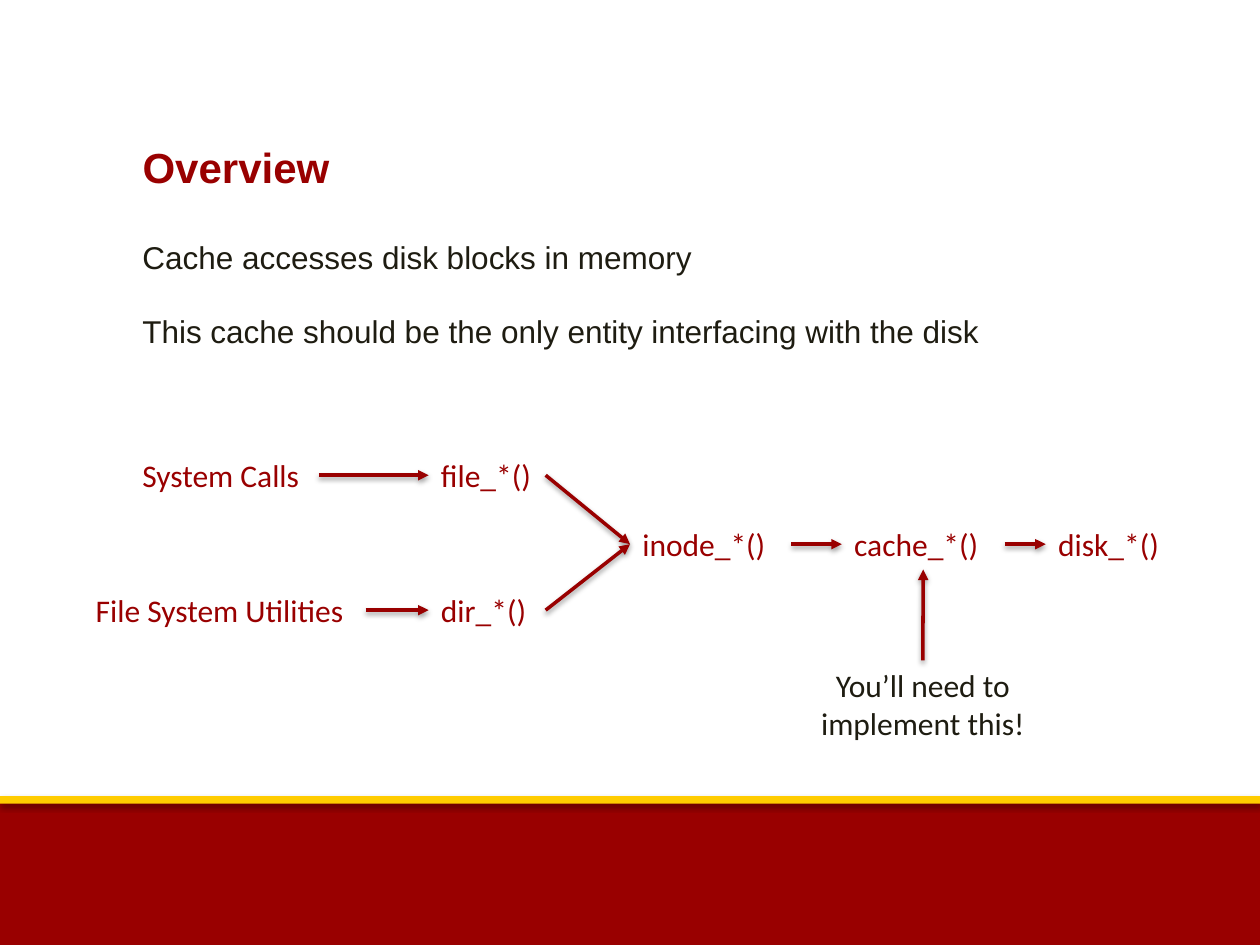
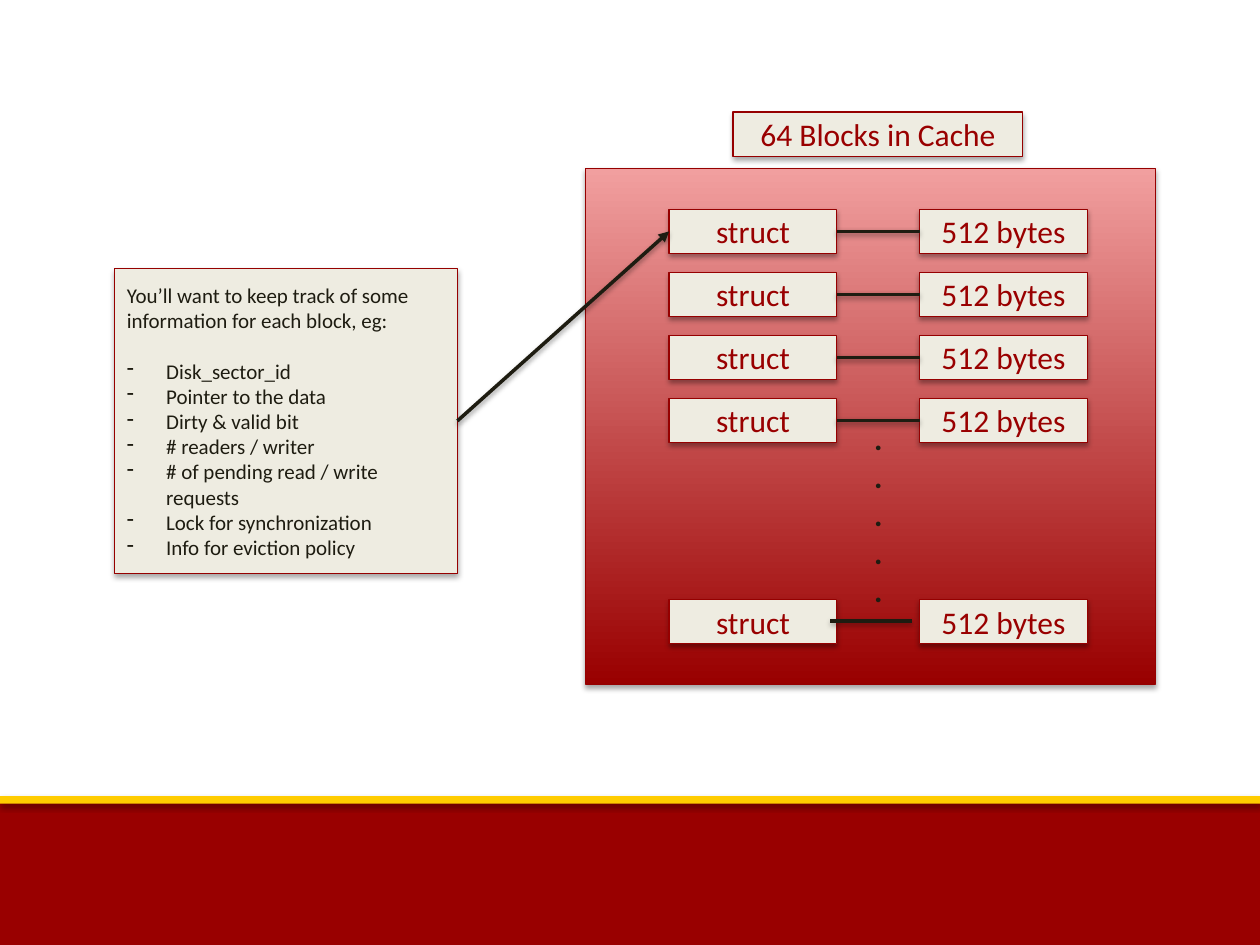
from dataclasses import dataclass

from lxml.etree import SubElement
from pptx import Presentation
from pptx.dml.color import RGBColor as RGB
from pptx.enum.shapes import MSO_CONNECTOR as CONNECTOR, MSO_SHAPE as SHAPE
from pptx.enum.text import MSO_ANCHOR as ANCHOR, MSO_AUTO_SIZE as AUTO, PP_ALIGN as ALIGN
from pptx.oxml.ns import qn
from pptx.util import Cm, Pt

TOP, LEFT, BOTTOM, RIGHT = range(4)


@dataclass(frozen=True)
class Theme:
    red: RGB = RGB(0x99, 0x00, 0x00)
    outline: RGB = RGB(0x96, 0x00, 0x00)
    pink: RGB = RGB(0xF1, 0x9F, 0x9F)
    gold: RGB = RGB(0xFF, 0xCC, 0x00)
    cream: RGB = RGB(0xEE, 0xEC, 0xE1)
    ink: RGB = RGB(0x1E, 0x1C, 0x11)
    heading_font: str = "Arial"
    label_font: str = "Calibri"
    title_size: int = 24
    text_size: int = 18
    note_size: int = 12


class Deck:
    TITLE_ONLY, BLANK = 5, 6

    def __init__(self, theme):
        self.theme = theme
        self.prs = Presentation()
        self.prs.slide_width, self.prs.slide_height = Cm(25.4), Cm(19.05)
        self.slide = None

    def new_slide(self, title=None):
        """Start a slide with the footer bands and, if given, a title."""
        t = self.theme
        layout = self.BLANK if title is None else self.TITLE_ONLY
        self.slide = self.prs.slides.add_slide(self.prs.slide_layouts[layout])
        self.box(0, 16.13, 25.4, 2.92, fill=t.red, line=None)
        self.box(0, 16.05, 25.4, 0.15, fill=t.gold, line=None)
        if title is not None:
            sp = self.slide.shapes.title
            sp.left, sp.top, sp.width, sp.height = Cm(2.62), Cm(2.72), Cm(20.55), Cm(1.27)
            self.set_text(sp, title, t.red, t.title_size, t.heading_font, bold=True)
            sp.text_frame.vertical_anchor = ANCHOR.TOP

    def set_text(self, sp, text, color, size=None, font=None, align=ALIGN.LEFT, bold=False):
        tf = sp.text_frame
        tf.text = text
        tf.word_wrap = True
        tf.auto_size = AUTO.NONE
        for p in tf.paragraphs:
            p.alignment = align
            for r in p.runs:
                r.font.name = font or self.theme.label_font
                r.font.size = Pt(size or self.theme.text_size)
                r.font.bold = bold
                r.font.color.rgb = color

    def text(self, x, y, w, h, text, color, **style):
        sp = self.slide.shapes.add_textbox(Cm(x), Cm(y), Cm(w), Cm(h))
        self.set_text(sp, text, color, **style)
        return sp

    def label(self, x, y, w, text):
        return self.text(x, y, w, 1.02, text, self.theme.red)

    def box(self, x, y, w, h, fill=None, line=Theme.outline):
        sp = self.slide.shapes.add_shape(SHAPE.RECTANGLE, Cm(x), Cm(y), Cm(w), Cm(h))
        sp.fill.solid()
        sp.fill.fore_color.rgb = fill or self.theme.cream
        if line is None:
            sp.line.fill.background()
        else:
            sp.line.color.rgb = line
            sp.line.width = Pt(0.75)
        self.shadow(sp, distance=1.8, opacity=35)
        return sp

    def tag(self, x, y, w, text):
        sp = self.box(x, y, w, 0.89)
        self.set_text(sp, text, self.theme.red, align=ALIGN.CENTER)
        sp.text_frame.vertical_anchor = ANCHOR.MIDDLE
        return sp

    def line(self, x1, y1, x2, y2, color, arrow=False):
        c = self.slide.shapes.add_connector(
            CONNECTOR.STRAIGHT, Cm(x1), Cm(y1), Cm(x2), Cm(y2))
        c.line.color.rgb = color
        c.line.width = Pt(2)
        if arrow:
            SubElement(c.element.spPr.find(qn("a:ln")), qn("a:tailEnd"), type="triangle")
        self.shadow(c, distance=1.6, opacity=38)
        return c

    def link(self, start, end, color, sides=(RIGHT, LEFT), arrow=True):
        c = self.line(0, 0, 0, 0, color, arrow)
        c.begin_connect(start, sides[0])
        c.end_connect(end, sides[1])

    @staticmethod
    def shadow(sp, distance, opacity):
        """Add a soft shadow straight below; call after fill and line are set."""
        effects = SubElement(sp.element.spPr, qn("a:effectLst"))
        outer = SubElement(effects, qn("a:outerShdw"), blurRad=str(Pt(3.1)),
                           dist=str(Pt(distance)), dir="5400000", rotWithShape="0")
        color = SubElement(outer, qn("a:srgbClr"), val="000000")
        SubElement(color, qn("a:alpha"), val=str(opacity * 1000))

    @staticmethod
    def dash(p):
        """Turn a paragraph into a dashed list item with a hanging indent."""
        pPr = p._p.get_or_add_pPr()
        pPr.set("marL", str(Cm(0.79)))
        pPr.set("indent", str(-Cm(0.79)))
        SubElement(pPr, qn("a:buChar"), char="-")


def overview(deck):
    t = deck.theme
    deck.new_slide("Overview")
    body = deck.text(2.62, 4.67, 20.55, 2.67,
                     "Cache accesses disk blocks in memory\n"
                     "This cache should be the only entity interfacing with the disk",
                     t.ink, font=t.heading_font)
    body.text_frame.paragraphs[0].space_after = Pt(20.7)

    # Call chain
    upper, middle, lower = 9.07, 10.46, 11.79
    calls = deck.label(2.62, upper, 3.81, "System Calls")
    utilities = deck.label(1.68, lower, 5.69, "File System Utilities")
    file = deck.label(8.64, upper, 2.36, "file_*()")
    folder = deck.label(8.64, lower, 2.36, "dir_*()")
    inode = deck.label(12.7, middle, 3.25, "inode_*()")
    cache = deck.label(16.97, middle, 3.28, "cache_*()")
    disk = deck.label(21.08, middle, 3.25, "disk_*()")
    for start, end in ((calls, file), (utilities, folder), (file, inode),
                       (folder, inode), (inode, cache), (cache, disk)):
        deck.link(start, end, t.red)

    # Task note
    task = deck.text(15.95, 13.31, 5.31, 1.8, "You’ll need to implement this!",
                     t.ink, align=ALIGN.CENTER)
    deck.link(task, cache, t.red, sides=(TOP, BOTTOM))


def cache_blocks(deck):
    t = deck.theme
    deck.new_slide()

    # Cache panel
    panel = deck.box(11.81, 3.4, 11.48, 10.39)
    panel.fill.gradient()
    panel.fill.gradient_angle = 90
    for stop, color in zip(panel.fill.gradient_stops, (t.red, t.pink)):
        stop.color.rgb = color
    deck.tag(14.78, 2.26, 5.84, "64 Blocks in Cache")

    # Each struct with its data block
    tops = [4.22 + 1.27 * i for i in range(4)] + [12.09]
    rows = [(deck.tag(13.49, y, 3.38, "struct"), deck.tag(18.54, y, 3.38, "512 bytes"))
            for y in tops]
    for struct, data in rows[:-1]:
        deck.link(struct, data, t.ink, arrow=False)
    deck.line(16.74, 12.52, 18.39, 12.52, t.ink)
    deck.text(15.65, 8.33, 4.11, 4.11, "\n".join("....."), t.ink,
              align=ALIGN.CENTER, bold=True)

    # What a struct keeps
    note = deck.box(2.31, 5.41, 6.91, 6.15)
    fields = ("Disk_sector_id", "Pointer to the data", "Dirty & valid bit",
              "# readers / writer", "# of pending read / write requests",
              "Lock for synchronization", "Info for eviction policy")
    intro = "You’ll want to keep track of some information for each block, eg:"
    deck.set_text(note, "\n".join((intro, *fields)), t.ink, size=t.note_size)
    note.text_frame.vertical_anchor = ANCHOR.MIDDLE
    first, *items = note.text_frame.paragraphs
    first.space_after = Pt(14.6)
    for p in items:
        deck.dash(p)
    deck.link(note, rows[0][0], t.ink)


def main():
    deck = Deck(Theme())
    overview(deck)
    cache_blocks(deck)
    deck.prs.save("out.pptx")


if __name__ == "__main__":
    main()
